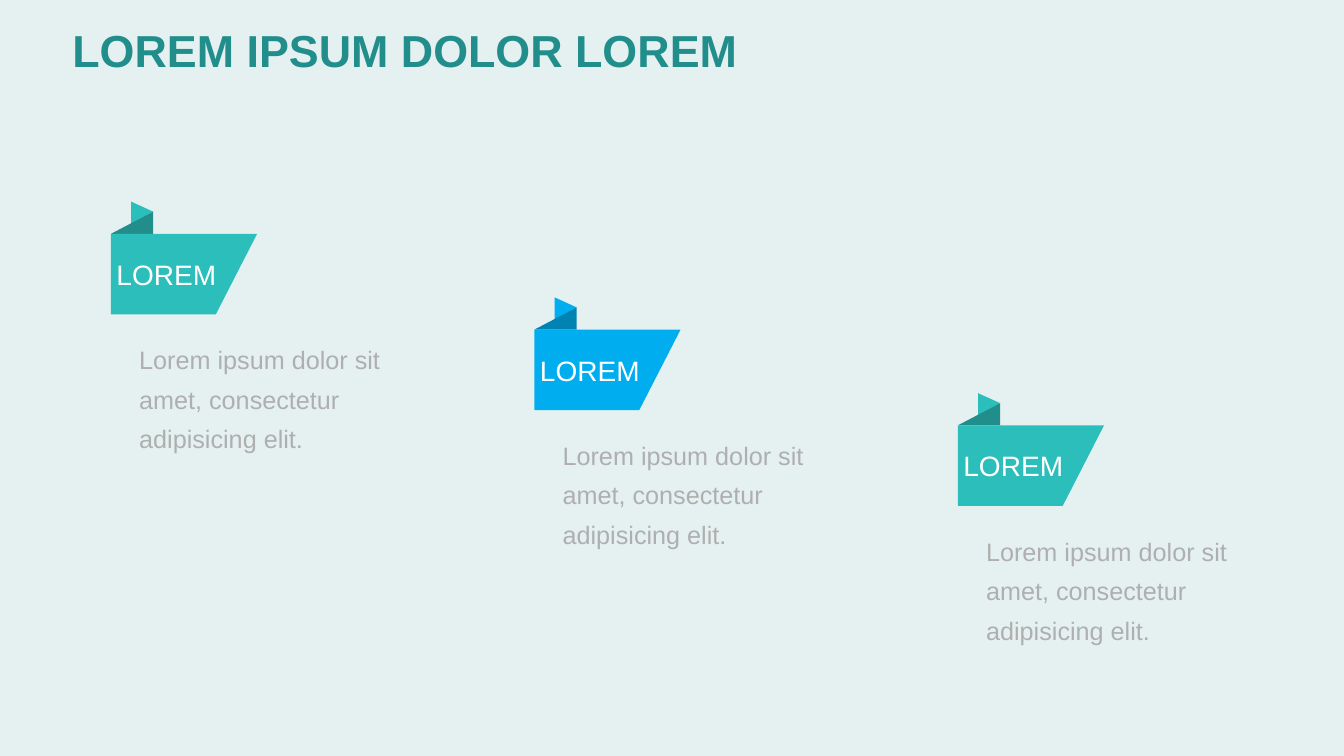
import pptx
import pptx.util
import pptx.dml.color
import pptx.enum.shapes
import pptx.enum.text

Inches = pptx.util.Inches
ALIGN = pptx.enum.text.PP_ALIGN
ANCHOR = pptx.enum.text.MSO_ANCHOR

COLORS = {
    "background": "E5F1F1",
    "teal": "2CBEBB",
    "dark_teal": "218E8C",
    "blue": "00AEEF",
    "dark_blue": "0083B3",
    "gray": "AFAFAF",
    "white": "FFFFFF",
}


def rgb(name):
    return pptx.dml.color.RGBColor.from_string(COLORS[name])


class Deck:
    font = "Arial"

    def __init__(self, prs):
        self.slide = prs.slides.add_slide(prs.slide_layouts[6])
        fill = self.slide.background.fill
        fill.solid()
        fill.fore_color.rgb = rgb("background")

    def paint(self, sp, color):
        sp.shadow.inherit = False
        sp.fill.solid()
        sp.fill.fore_color.rgb = rgb(color)
        sp.line.fill.background()
        return sp

    def label(self, sp, text, size, color, bold=False, align=ALIGN.LEFT,
              anchor=ANCHOR.TOP, spacing=1.0, insets=(0, 0, 0, 0)):
        tf = sp.text_frame
        tf.word_wrap = True
        tf.vertical_anchor = anchor
        (tf.margin_left, tf.margin_top,
         tf.margin_right, tf.margin_bottom) = map(Inches, insets)
        tf.text = text
        p = tf.paragraphs[0]
        p.alignment = align
        p.line_spacing = spacing
        r = p.runs[0]
        r.font.name = self.font
        r.font.size = pptx.util.Pt(size)
        r.font.bold = bold
        r.font.color.rgb = rgb(color)

    def text(self, x, y, w, h, text, size, color, **style):
        sp = self.slide.shapes.add_textbox(*map(Inches, (x, y, w, h)))
        self.label(sp, text, size, color, **style)

    def polygon(self, points, color):
        corners = [(Inches(x), Inches(y)) for x, y in points]
        builder = self.slide.shapes.build_freeform(*corners[0], scale=1.0)
        builder.add_line_segments(corners[1:], close=True)
        return self.paint(builder.convert_to_shape(), color)

    def fold(self, x, y, w, h, color):
        kind = pptx.enum.shapes.MSO_SHAPE.RIGHT_TRIANGLE
        sp = self.slide.shapes.add_shape(kind, *map(Inches, (x, y, w, h)))
        sp._element.spPr.xfrm.set("flipH", "1")
        self.paint(sp, color)

    def ribbon(self, x, y, title, body, color, dark):
        # Folded tail behind the ribbon
        self.polygon([(x + 0.2, y - 0.1), (x + 0.42, y - 0.22),
                      (x + 0.2, y - 0.32)], color)
        self.text(x + 0.28, y + 1.01, 2.45, 1.18, body, 18, "gray", spacing=1.3)
        self.fold(x, y - 0.22, 0.42, 0.22, dark)
        # Slanted front with its label
        front = self.polygon([(x, y), (x + 1.45, y), (x + 1.04, y + 0.8),
                              (x, y + 0.8)], color)
        self.label(front, title, 20, "white", align=ALIGN.CENTER,
                   anchor=ANCHOR.MIDDLE, insets=(0, 0, 0.35, 0))


def main():
    prs = pptx.Presentation()
    prs.slide_width, prs.slide_height = Inches(13.33), Inches(7.5)
    s = Deck(prs)

    # Ribbons descending from left to right
    body = "Lorem ipsum dolor sit amet, consectetur adipisicing elit."
    schemes = [("teal", "dark_teal"), ("blue", "dark_blue"), ("teal", "dark_teal")]
    for i, (color, dark) in enumerate(schemes):
        s.ribbon(1.1 + 4.2 * i, 2.32 + 0.95 * i, "LOREM", body, color, dark)

    # Title
    s.text(0.62, 0.18, 11.96, 0.7, "LOREM IPSUM DOLOR LOREM", 32, "dark_teal",
           bold=True, anchor=ANCHOR.MIDDLE, spacing=0.9,
           insets=(0.1, 0.05, 0.1, 0.05))

    prs.save("out.pptx")


if __name__ == "__main__":
    main()
